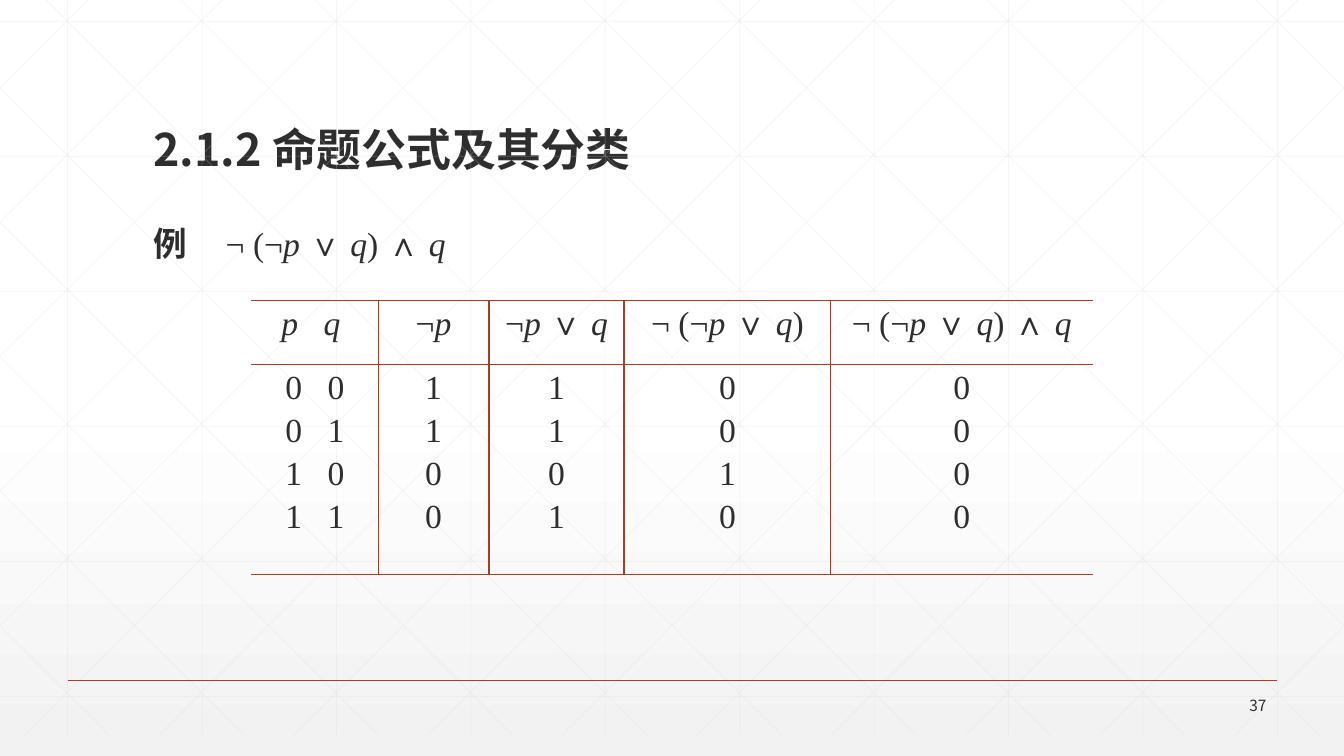
from itertools import groupby

from lxml.etree import SubElement
from pptx import Presentation
from pptx.dml.color import RGBColor
from pptx.enum.shapes import MSO_CONNECTOR
from pptx.enum.text import MSO_ANCHOR, PP_ALIGN
from pptx.oxml.ns import qn
from pptx.util import Inches, Pt

WIDE, HIGH = 13.33, 7.5
INK, RUST, GRID = "2D2E2D", "A43F27", "D9D9D9"
SANS, SERIF = "Noto Sans CJK SC", "Times New Roman"
STEP = 4 / 3
HEADS = ["p\tq", "¬p", "¬p ∨ q", "¬ (¬p ∨ q)", "¬ (¬p ∨ q) ∧ q"]
ROWS = [
    ["0\t0", "1", "1", "0", "0"],
    ["0\t1", "1", "1", "0", "0"],
    ["1\t0", "0", "0", "1", "0"],
    ["1\t1", "0", "1", "0", "0"],
]


def paint(color, code):
    color.rgb = RGBColor.from_string(code)


def add_run(para, text, size, face, bold=False, slant=False):
    run = para.add_run()
    run.text = text
    font = run.font
    font.size, font.name, font.bold, font.italic = Pt(size), face, bold, slant
    paint(font.color, INK)
    SubElement(font._element, qn("a:ea"), typeface=face)


def add_logic(para, text):
    """Add a formula with its variables in italics."""
    for slant, part in groupby(text, lambda char: char in "pq"):
        add_run(para, "".join(part), 24, SERIF, slant=slant)


def add_tab(para, place):
    tabs = SubElement(para._p.get_or_add_pPr(), qn("a:tabLst"))
    SubElement(tabs, qn("a:tab"), pos=str(Inches(place)), algn="l")


def add_line(slide, start, end, code, width, alpha=None):
    ends = [Inches(value) for value in (*start, *end)]
    line = slide.shapes.add_connector(MSO_CONNECTOR.STRAIGHT, *ends)
    paint(line.line.color, code)
    line.line.width = Pt(width)
    props = line._element.spPr
    if alpha:
        tint = props.find(".//" + qn("a:srgbClr"))
        SubElement(tint, qn("a:alpha"), val=str(alpha * 1000))
    SubElement(props, qn("a:effectLst"))


def add_grid(slide, top, low):
    """Draw the faint lattice, with diagonals clipped at the slide sides."""
    def rule(start, end):
        add_line(slide, start, end, GRID, 0.5, 25)

    for col in range(10):
        x = 0.67 + col * STEP
        rule((x, top), (x, low))
    for row in range(6):
        y = 0.21 + row * 1.34
        rule((0, y), (WIDE, y))
    for diag in range(-5, 10):
        x = 0.25 + diag * STEP
        left, right = max(x, 0), min(x + low - top, WIDE)
        y, foot = top + left - x, top + right - x
        rule((left, y), (right, foot))
        rule((WIDE - left, y), (WIDE - right, foot))


def add_back(slide):
    fill = slide.background.fill
    fill.gradient()
    fill.gradient_angle = 270
    for stop, place, code in zip(fill.gradient_stops, (0.53, 1), ("FFFFFF", "F2F2F2")):
        stop.position = place
        paint(stop.color, code)
    add_grid(slide, -0.21, 7.29)


def add_title(slide, left, top, width, height):
    title = slide.shapes.title
    title.left, title.top = Inches(left), Inches(top)
    title.width, title.height = Inches(width), Inches(height)
    title.text_frame.vertical_anchor = MSO_ANCHOR.BOTTOM
    para = title.text_frame.paragraphs[0]
    para.alignment, para.line_spacing = PP_ALIGN.LEFT, 0.9
    add_run(para, "2.1.2 命题公式及其分类", 32, SANS, bold=True)


def add_box(slide, left, top, width, height):
    box = slide.shapes.add_textbox(*map(Inches, (left, top, width, height)))
    box.text_frame.word_wrap = True
    return box.text_frame


def add_case(slide, left, top, width, height):
    para = add_box(slide, left, top, width, height).paragraphs[0]
    add_tab(para, 0.72)
    para.line_spacing = 0.9
    add_run(para, "例\t", 24, SANS, bold=True)
    add_logic(para, HEADS[-1])


def set_edges(cell, sides):
    props = cell._tc.get_or_add_tcPr()
    for spot, side in enumerate("LRTB"):
        edge = SubElement(props, qn("a:ln" + side), w=str(Pt(1)))
        props.insert(spot, edge)
        if side in sides:
            fill = SubElement(edge, qn("a:solidFill"))
            SubElement(fill, qn("a:srgbClr"), val=RUST)
        else:
            SubElement(edge, qn("a:noFill"))


def fill_cell(cell, lines):
    cell.fill.background()
    frame = cell.text_frame
    for spot, text in enumerate(lines):
        para = frame.add_paragraph() if spot else frame.paragraphs[0]
        if "\t" in text:
            add_tab(para, 0.42)
            para.alignment = PP_ALIGN.LEFT
            cell.margin_left = Inches(0.3 if text == HEADS[0] else 0.34)
        else:
            para.alignment = PP_ALIGN.CENTER
        if spot:
            para.space_before = Pt(4)
        add_logic(para, text)


def add_truth(slide, left, top, widths, heights):
    spot = map(Inches, (left, top, sum(widths), sum(heights)))
    table = slide.shapes.add_table(len(heights), len(widths), *spot).table
    table.first_row = table.horz_banding = False
    for row, height in zip(table.rows, heights):
        row.height = Inches(height)
    last = len(widths) - 1
    for col, width in enumerate(widths):
        table.columns[col].width = Inches(width)
        sides = "TB" + ("L" if col else "") + ("R" if col < last else "")
        parts = [HEADS[col]], [row[col] for row in ROWS]
        for row, lines in enumerate(parts):
            cell = table.cell(row, col)
            fill_cell(cell, lines)
            set_edges(cell, sides)


def add_foot(slide, left, top, width, height):
    add_line(slide, (0.67, 6.75), (12.67, 6.75), RUST, 1)
    frame = add_box(slide, left, top, width, height)
    frame.vertical_anchor = MSO_ANCHOR.MIDDLE
    para = frame.paragraphs[0]
    para.alignment = PP_ALIGN.RIGHT
    add_run(para, "37", 11, SANS)


def main():
    deck = Presentation()
    deck.slide_width, deck.slide_height = Inches(WIDE), Inches(HIGH)
    slide = deck.slides.add_slide(deck.slide_layouts[5])
    add_back(slide)
    add_title(slide, 1.42, 0.55, 10.5, 1.25)
    add_case(slide, 1.42, 2.21, 10.5, 0.6)
    add_truth(slide, 2.49, 2.98, [1.26, 1.1, 1.34, 2.05, 2.6], [0.64, 2.08])
    add_foot(slide, 11.66, 6.88, 1, 0.24)
    deck.save("out.pptx")


if __name__ == "__main__":
    main()
